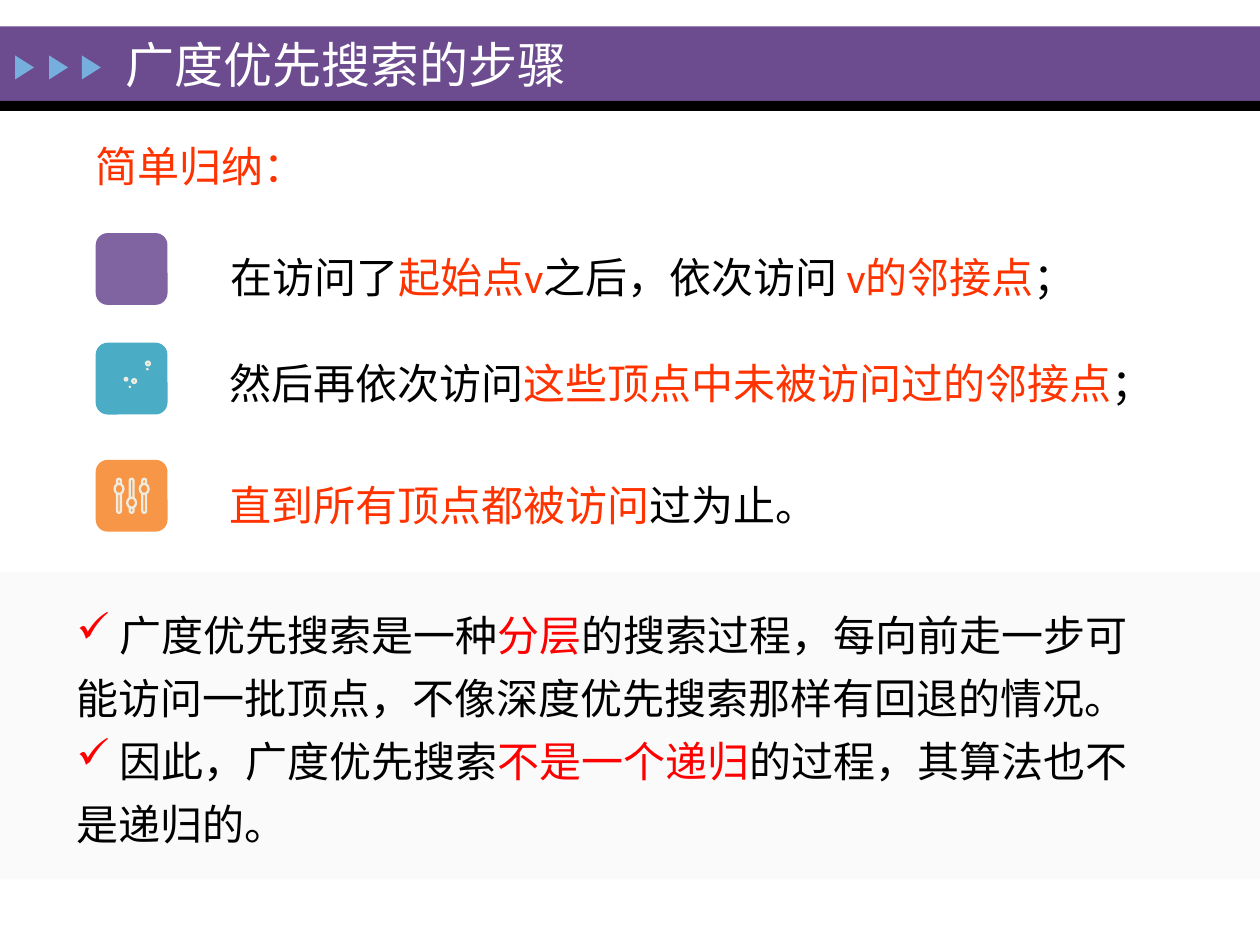
from math import cos, radians, sin

from lxml import etree
from pptx import Presentation
from pptx.dml.color import RGBColor
from pptx.enum.shapes import MSO_SHAPE as Preset
from pptx.enum.text import MSO_ANCHOR as Anchor, MSO_AUTO_SIZE as AutoSize
from pptx.oxml.ns import qn
from pptx.util import Inches, Pt

ORANGE_RED, RED, BLACK, CREAM = "FF3300", "FF0000", "000000", "EEECE1"
ICON_LINE = 1.3

presentation = Presentation()
presentation.slide_width, presentation.slide_height = Inches(10), Inches(7.5)
slide = presentation.slides.add_slide(presentation.slide_layouts[6])
shapes = slide.shapes


def paint(shape, fill=None, line=None):
    """Set fill and line from hex strings; None means none."""
    shape.shadow.inherit = False
    for part, color in ((shape.fill, fill), (shape.line.fill, line)):
        if color:
            part.solid()
            part.fore_color.rgb = RGBColor.from_string(color)
        else:
            part.background()
    if line:
        shape.line.width = Pt(ICON_LINE)


def add_text(box, paragraphs, size=24, spacing=1.25, before=4.8):
    """Add a text box; each paragraph is a list of (text, color) runs."""
    frame = shapes.add_textbox(*map(Inches, box)).text_frame
    frame.word_wrap = True
    frame.auto_size = AutoSize.SHAPE_TO_FIT_TEXT
    for index, runs in enumerate(paragraphs):
        paragraph = frame.add_paragraph() if index else frame.paragraphs[0]
        paragraph.font.name, paragraph.font.size = "Calibri", Pt(size)
        paragraph.line_spacing = spacing
        paragraph.space_before = Pt(before)
        for text, color in runs:
            run = paragraph.add_run()
            run.text = text
            run.font.color.rgb = RGBColor.from_string(color)
    return frame


# Title bar, black rule and summary panel
for top, height, color in ((0.21, 0.59, "6C4C8F"), (0.8, 0.08, BLACK), (4.54, 2.44, "FAFAFA")):
    band = shapes.add_shape(Preset.RECTANGLE, 0, Inches(top), Inches(10), Inches(height))
    paint(band, color)

# Title arrows
for left in (0.1, 0.37, 0.63):
    arrow = shapes.add_shape(Preset.ISOSCELES_TRIANGLE, Inches(left), Inches(0.46), Inches(0.19), Inches(0.15))
    arrow.rotation = 90
    paint(arrow, "76AEDD")

# Title and heading
title = add_text((0.9, 0.23, 5.59, 0.56), [[("广度优先搜索的步骤", "FFFFFF")]], 28, 1.0, 0)
title.auto_size = AutoSize.NONE
title.vertical_anchor = Anchor.MIDDLE
heading = add_text((0.66, 0.97, 8.99, 0.56), [[("简单归纳：", ORANGE_RED)]])
heading_properties = heading.paragraphs[0]._p.get_or_add_pPr()
heading_properties.set("marL", str(Inches(0.5)))
heading_properties.set("indent", str(Inches(-0.5)))

# Three steps
steps = [
    (1.73, 1.85, [("在访问了", BLACK), ("起始点v", ORANGE_RED), ("之后，依次访问 ", BLACK),
                  ("v的邻接点", ORANGE_RED), ("；", BLACK)]),
    (1.72, 2.69, [("然后再依次访问", BLACK), ("这些顶点中未被访问过的邻接点", ORANGE_RED), ("；", BLACK)]),
    (1.72, 3.66, [("直到所有顶点都被访问", ORANGE_RED), ("过为止。", BLACK)]),
]
for left, top, runs in steps:
    add_text((left, top, 7.76, 0.56), [runs])

# Summary with red check marks
summary = add_text((0.51, 4.69, 8.82, 2.12), [
    [(" 广度优先搜索是一种", BLACK), ("分层", RED),
     ("的搜索过程，每向前走一步可能访问一批顶点，不像深度优先搜索那样有回退的情况。", BLACK)],
    [(" 因此，广度优先搜索", BLACK), ("不是一个递归", RED), ("的过程，其算法也不是递归的。", BLACK)],
], before=0)
for paragraph in summary.paragraphs:
    properties = paragraph._p.get_or_add_pPr()
    bullet_color = etree.SubElement(properties, qn("a:buClr"))
    etree.SubElement(bullet_color, qn("a:srgbClr"), val=RED)
    etree.SubElement(properties, qn("a:buChar"), char="✓")
    # Bullet elements come before the default run properties
    properties.append(properties.find(qn("a:defRPr")))

# Icon tiles
for top, color in ((1.85, "8064A2"), (2.72, "4BACC6"), (3.65, "F79646")):
    tile = shapes.add_shape(Preset.ROUNDED_RECTANGLE, Inches(0.76), Inches(top), Inches(0.57), Inches(0.57))
    paint(tile, color)

# Key and flask outlines
key_bow = [(1.11 + 0.08 * cos(radians(angle)), 2.08 + 0.08 * sin(radians(angle)))
           for angle in range(155, 481, 13)]
key = [(0.92, 2.24)] + key_bow + [(1.05, 2.19), (1.05, 2.22), (1.01, 2.22), (1.01, 2.26),
                                  (0.97, 2.26), (0.95, 2.28), (0.92, 2.28)]
key_hole = [(1.1, 2.06), (1.12, 2.04), (1.15, 2.07), (1.14, 2.09), (1.12, 2.08)]
flask = [(1.05, 2.92), (1.08, 2.89), (1.17, 2.97), (1.14, 3), (1.12, 3.01), (1.07, 3.13),
         (1.05, 3.14), (0.92, 3.01), (0.92, 2.99), (1.06, 2.93)]
liquid = [(0.98, 2.97), (1.05, 2.98), (1.11, 3.02)]
for points, closed in ((key, True), (key_hole, True), (flask, True), (liquid, False)):
    builder = shapes.build_freeform(*points[0], scale=Inches(1))
    builder.add_line_segments(points[1:], close=closed)
    paint(builder.convert_to_shape(), line=CREAM)

# Flask bubbles: rings and dots
for left, top, size in ((1.05, 3.01, 0.03), (1.16, 2.87, 0.03), (0.99, 3, 0.02),
                        (1.02, 3.06, 0.02), (1.16, 2.92, 0.02)):
    bubble = shapes.add_shape(Preset.OVAL, Inches(left), Inches(top), Inches(size), Inches(size))
    if top in (3.06, 2.92):
        paint(bubble, CREAM)
    else:
        paint(bubble, line=CREAM)

# Sliders: a track with a knob on it
for left, knob_top in ((0.91, 3.84), (1.01, 3.95), (1.11, 3.84)):
    track = shapes.add_shape(Preset.ROUNDED_RECTANGLE, Inches(left + 0.02), Inches(3.8), Inches(0.03), Inches(0.27))
    track.adjustments[0] = 0.5
    knob = shapes.add_shape(Preset.OVAL, Inches(left), Inches(knob_top), Inches(0.07), Inches(0.08))
    for part in (track, knob):
        paint(part, "F79646", CREAM)

presentation.save("out.pptx")
